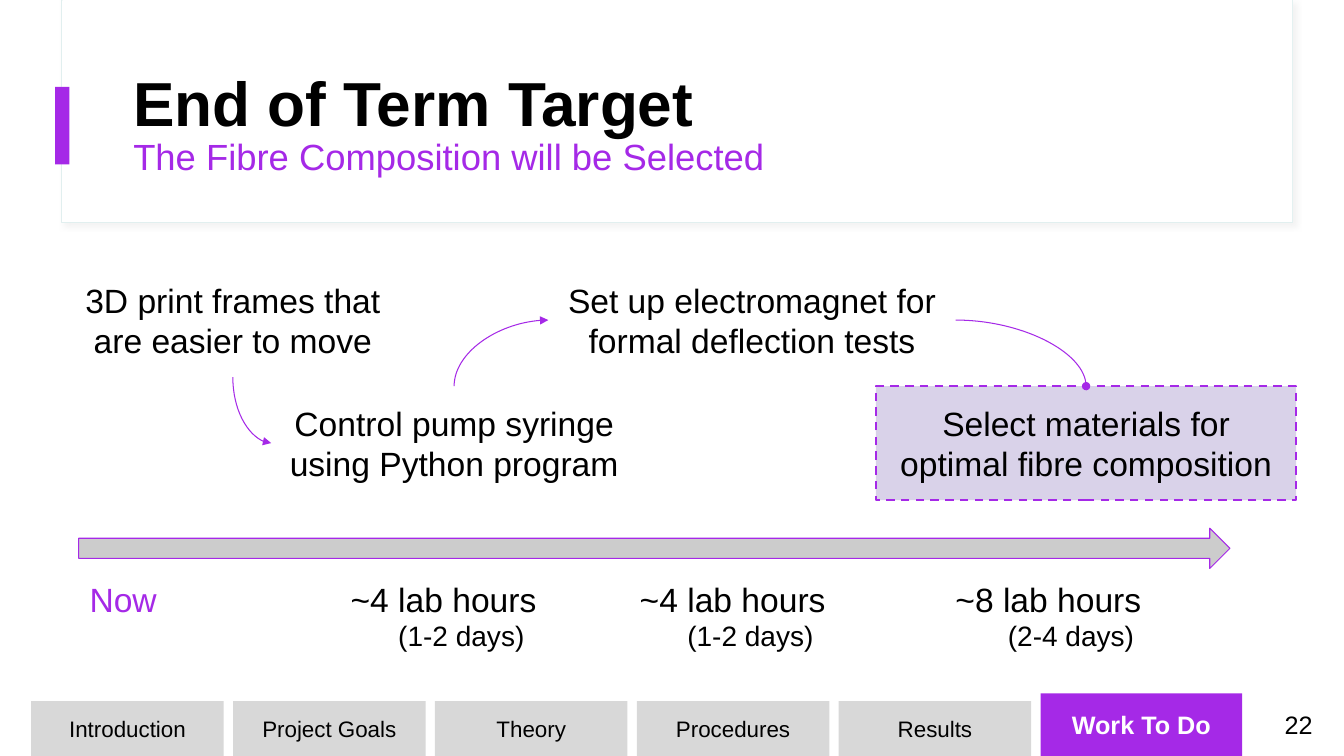
import pptx
import pptx.util
import pptx.oxml
import pptx.oxml.ns
import pptx.dml.color
import pptx.enum.dml
import pptx.enum.shapes
import pptx.enum.text

Pt = pptx.util.Pt
MSO_SHAPE = pptx.enum.shapes.MSO_SHAPE
ALIGN = pptx.enum.text.PP_ALIGN
ANCHOR = pptx.enum.text.MSO_ANCHOR
NAMESPACE = pptx.oxml.ns.nsdecls("a")

COLORS = {
    "accent": "A529E7",
    "black": "000000",
    "white": "FFFFFF",
    "tab": "D8D8D8",
    "arrow": "CCCCCC",
    "target": "D9D2E9",
    "panel_line": "E1EFEF",
}


def rgb(name):
    return pptx.dml.color.RGBColor.from_string(COLORS[name])


def points(box):
    return [Pt(value) for value in box]


def style_paragraph(paragraph, size, color="black", bold=False, align=ALIGN.LEFT):
    paragraph.alignment = align
    for run in paragraph.runs:
        run.font.name = "Arial"
        run.font.size = Pt(size)
        run.font.bold = bold
        run.font.color.rgb = rgb(color)


def set_frame(text_frame, anchor=ANCHOR.MIDDLE, vertical_inset=7.2):
    text_frame.word_wrap = True
    text_frame.auto_size = pptx.enum.text.MSO_AUTO_SIZE.NONE
    text_frame.vertical_anchor = anchor
    text_frame.margin_left = text_frame.margin_right = Pt(7.2)
    text_frame.margin_top = text_frame.margin_bottom = Pt(vertical_inset)


def add_block(slide, box, fill, line=None, line_width=0.75, kind=MSO_SHAPE.RECTANGLE):
    shape = slide.shapes.add_shape(kind, *points(box))
    shape.shadow.inherit = False
    shape.fill.solid()
    shape.fill.fore_color.rgb = rgb(fill)
    if line:
        shape.line.color.rgb = rgb(line)
        shape.line.width = Pt(line_width)
    else:
        shape.line.fill.background()
    return shape


def add_header(slide, box):
    left, top, width, height = box
    panel = add_block(slide, box, "white", "panel_line")
    effects = panel._element.spPr.find(pptx.oxml.ns.qn("a:effectLst"))
    effects.append(pptx.oxml.parse_xml(
        f'<a:outerShdw {NAMESPACE} blurRad="{Pt(4)}" dist="{Pt(3)}" dir="2700000" algn="tl" '
        f'rotWithShape="0"><a:srgbClr val="{COLORS["tab"]}"><a:alpha val="30000"/>'
        '</a:srgbClr></a:outerShdw>'))
    add_block(slide, (left + 0.5, top, width - 0.5, height - 0.5), "white")
    add_block(slide, (left - 4.7, top + 62, 10.3, 55.5), "accent")

    title = slide.shapes.title
    slide.shapes._spTree.append(title._element)
    title.left, title.top, title.width, title.height = points((left + 44, top + 43.2, 800.6, 92.9))
    set_frame(title.text_frame, vertical_inset=3.6)
    title.text_frame.text = "End of Term Target\nThe Fibre Composition will be Selected"
    heading, subtitle = title.text_frame.paragraphs
    style_paragraph(heading, 44.4, bold=True)
    style_paragraph(subtitle, 26, "accent")
    for paragraph in (heading, subtitle):
        paragraph.line_spacing = 0.9
        paragraph.space_before = Pt(0)


def add_step(slide, box, text, is_target):
    if is_target:
        step = add_block(slide, box, "target", "accent", 1.5)
        step.line.dash_style = pptx.enum.dml.MSO_LINE.DASH
    else:
        step = slide.shapes.add_textbox(*points(box))
    set_frame(step.text_frame)
    step.text_frame.text = text
    style_paragraph(step.text_frame.paragraphs[0], 24, align=ALIGN.CENTER)


def add_curve(slide, start, end, head, vertical_start):
    connector = slide.shapes.add_connector(
        pptx.enum.shapes.MSO_CONNECTOR.CURVE, *points(start + end))
    connector.line.color.rgb = rgb("accent")
    connector.line.width = Pt(0.75)
    properties = connector._element.spPr
    properties.find(pptx.oxml.ns.qn("a:prstGeom")).set("prst", "curvedConnector2")
    if vertical_start:
        width, height = abs(end[1] - start[1]), abs(end[0] - start[0])
        connector.left = Pt((start[0] + end[0] - width) / 2)
        connector.top = Pt((start[1] + end[1] - height) / 2)
        connector.width, connector.height = Pt(width), Pt(height)
        frame = properties.find(pptx.oxml.ns.qn("a:xfrm"))
        frame.set("rot", "16200000")
        frame.set("flipH", "1" if end[1] > start[1] else "0")
        frame.set("flipV", "0")
    connector.line._get_or_add_ln().append(
        pptx.oxml.parse_xml(f'<a:tailEnd {NAMESPACE} type="{head}"/>'))
    properties.append(pptx.oxml.parse_xml(f"<a:effectLst {NAMESPACE}/>"))


def add_steps(slide, box):
    left, top, width, height = box
    step_height = 81.4
    lower = top + height - step_height
    steps = [
        ("3D print frames that are easier to move", 0, top, 246.2),
        ("Control pump syringe using Python program", 150.5, lower, 261.4),
        ("Set up electromagnet for formal deflection tests", 348.5, top, 290.9),
        ("Select materials for optimal fibre composition", width - 300.2, lower, 300.2),
    ]
    boxes = [(left + offset, y, step_width, step_height) for _, offset, y, step_width in steps]
    for step, step_box in zip(steps, boxes):
        add_step(slide, step_box, step[0], step is steps[-1])

    def anchor(index, across, down):
        x, y, step_width, step_height = boxes[index]
        return x + across * step_width, y + down * step_height

    add_curve(slide, anchor(0, 0.5, 1), anchor(1, 0, 0.5), "triangle", True)
    add_curve(slide, anchor(1, 0.5, 0), anchor(2, 0, 0.5), "triangle", True)
    add_curve(slide, anchor(2, 1, 0.5), anchor(3, 0.5, 0), "oval", False)


def add_timeline(slide, box):
    left, top, width, height = box
    arrow_height = 28.8
    add_block(slide, (left, top, width - 23, arrow_height), "arrow", "accent",
              kind=MSO_SHAPE.RIGHT_ARROW)
    labels = slide.shapes.add_textbox(
        *points((left + 0.7, top + arrow_height, width - 0.7, height - arrow_height)))
    set_frame(labels.text_frame, ANCHOR.TOP)
    rows = [
        (["~4 lab hours", "~4 lab hours", "~8 lab hours"], (186.5, 393, 618.5), 24),
        (["(1-2 days)", "(1-2 days)", "(2-4 days)"], (220.5, 427, 656), 20),
    ]
    for index, (entries, stops, size) in enumerate(rows):
        paragraph = labels.text_frame.paragraphs[0] if index == 0 else labels.text_frame.add_paragraph()
        tabs = "".join(f'<a:tab pos="{Pt(stop)}" algn="l"/>' for stop in stops)
        paragraph._p.get_or_add_pPr().append(
            pptx.oxml.parse_xml(f"<a:tabLst {NAMESPACE}>{tabs}</a:tabLst>"))
        if index == 0:
            paragraph.add_run().text = "Now"
        paragraph.add_run().text = "\t" + "\t".join(entries)
        style_paragraph(paragraph, size)
    labels.text_frame.paragraphs[0].runs[0].font.color.rgb = rgb("accent")


def add_navigation(slide, box):
    left, top, width, height = box
    sections = ["Introduction", "Project Goals", "Theory", "Procedures", "Results", "Work To Do"]
    pitch = 144.2
    for index, section in enumerate(sections):
        active = section == "Work To Do"
        rise = 0 if active else 5.6
        tab_box = (left + index * pitch, top + rise, 144 if active else 137.5, height - rise)
        tab = add_block(slide, tab_box, "accent" if active else "tab")
        set_frame(tab.text_frame, vertical_inset=3.6)
        tab.text_frame.text = section
        style_paragraph(tab.text_frame.paragraphs[0], 18 if active else 16,
                        "white" if active else "black", active, ALIGN.CENTER)

    number = slide.shapes.add_textbox(*points((left + width - 56.2, top + 8, 56.2, 28.8)))
    set_frame(number.text_frame, ANCHOR.TOP, 3.6)
    number.text_frame.text = "22"
    style_paragraph(number.text_frame.paragraphs[0], 18, align=ALIGN.RIGHT)


def main():
    presentation = pptx.Presentation()
    presentation.slide_width, presentation.slide_height = Pt(960), Pt(540)
    slide = presentation.slides.add_slide(presentation.slide_layouts[5])
    add_header(slide, (44, 0, 879, 159))
    add_steps(slide, (43.2, 187.9, 882.7, 169.3))
    add_timeline(slide, (56.2, 377.3, 845.3, 96.5))
    add_navigation(slide, (22.3, 495.2, 922.3, 45))
    presentation.save("out.pptx")


if __name__ == "__main__":
    main()
